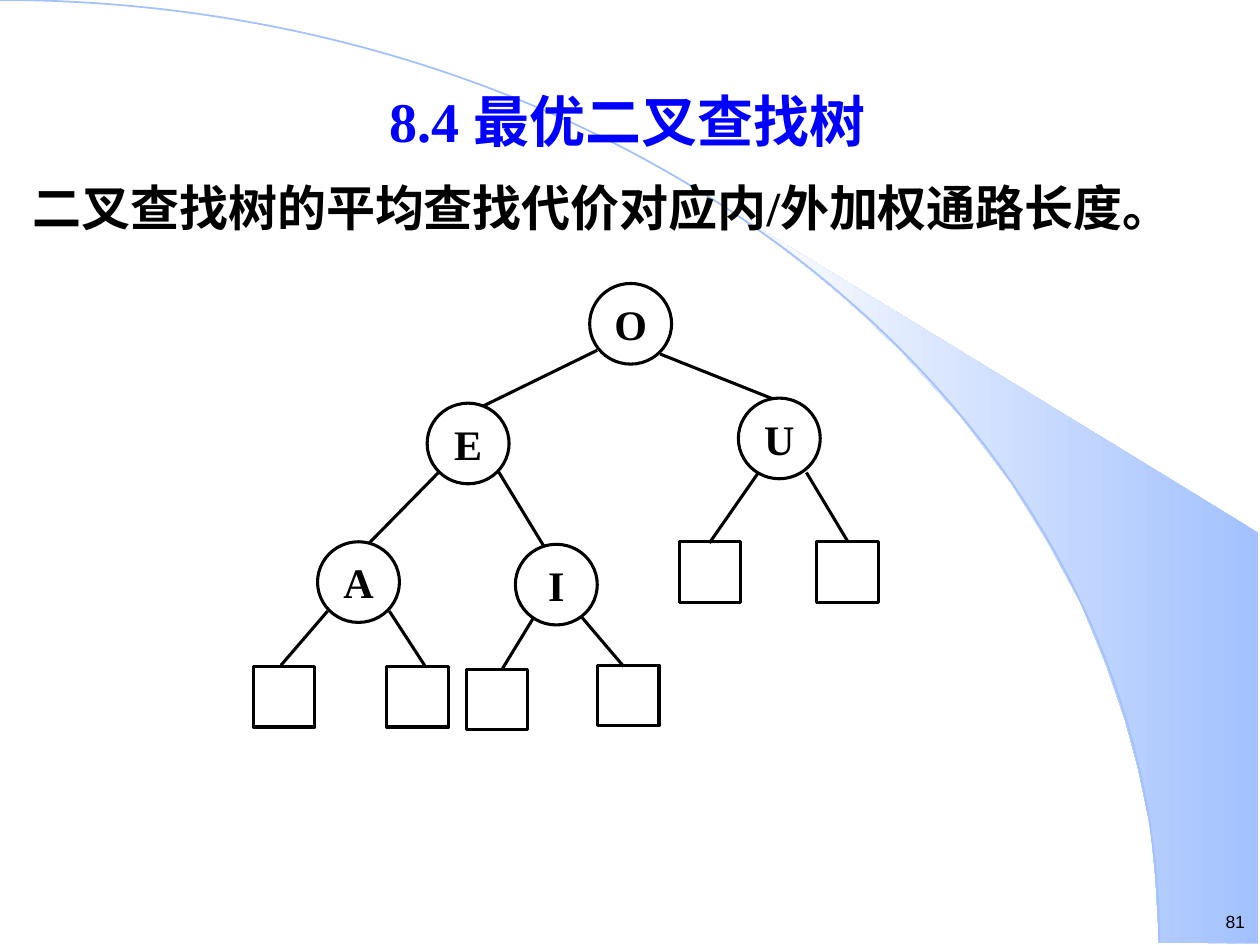
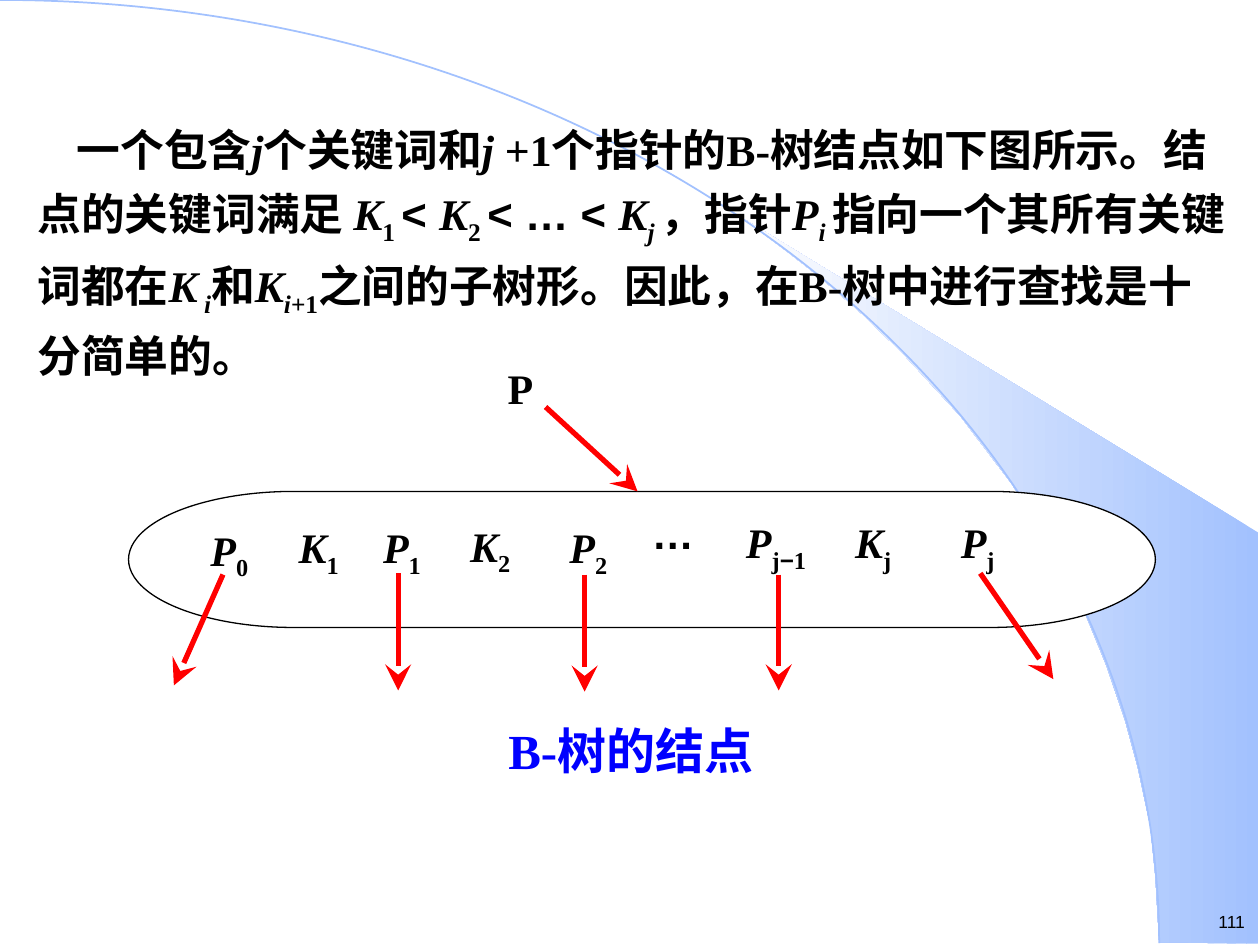
from dataclasses import dataclass

from lxml.etree import SubElement
from pptx import Presentation
from pptx.dml.color import RGBColor
from pptx.enum.shapes import MSO_CONNECTOR, MSO_SHAPE
from pptx.enum.text import MSO_ANCHOR, PP_ALIGN
from pptx.oxml.ns import qn
from pptx.util import Inches, Pt


@dataclass(frozen=True)
class Theme:
    ink: str = "000000"
    paper: str = "FFFFFF"
    heading: str = "0000FF"
    pointer: str = "FF0000"
    band: str = "A2C1FE"
    band_fade: str = "FEFEFE"
    serif: str = "Times New Roman"
    sans: str = "Arial"
    chinese: str = "Noto Sans CJK SC"
    title_size: float = 32
    lead_size: float = 28
    body_size: float = 25
    label_size: float = 24
    number_size: float = 10
    tree_line: float = 1.75
    pointer_line: float = 3


THEME = Theme()

BAND_OUTLINE = [
    (9.2, 7.48), (9.99, 7.49), (9.99, 4.23), (5.89, 1.73), (6.24, 1.99), (6.53, 2.22),
    (6.85, 2.5), (7.16, 2.8), (7.62, 3.3), (8.03, 3.84), (8.32, 4.31), (8.58, 4.79),
    (8.78, 5.28), (8.93, 5.72), (9.03, 6.09), (9.13, 6.56), (9.17, 6.96),
]
ARC_BOX = (-9.2, 0, 18.4, 14.97)

TREE_TITLE = "8.4 最优二叉查找树 "
TREE_LEAD = "二叉查找树的平均查找代价对应内/外加权通路长度。"
KEY_SIZE = (0.65, 0.64)
KEYS = {"O": (4.68, 2.25), "E": (3.39, 3.2), "A": (2.52, 4.3), "U": (5.86, 3.16), "I": (4.09, 4.32)}
LEAF_SIZE = (0.49, 0.48)
LEAVES = [(2.01, 5.29), (3.07, 5.29), (3.7, 5.31), (4.74, 5.28), (5.39, 4.3), (6.48, 4.3)]
EDGES = [
    ((4.74, 2.78), (3.82, 3.23)), ((5.24, 2.81), (6.17, 3.18)),
    ((3.5, 3.73), (2.93, 4.31)), ((3.93, 3.7), (4.35, 4.39)),
    ((6.02, 3.75), (5.63, 4.31)), ((6.4, 3.75), (6.73, 4.3)),
    ((2.6, 4.85), (2.23, 5.28)), ((3.09, 4.85), (3.37, 5.28)),
    ((4.23, 4.91), (3.98, 5.32)), ((4.61, 4.89), (4.95, 5.29)),
]

ITALIC, LOWERED, SANS = "i", "s", "a"
NODE_TEXT = [
    ("一个包含", ""), ("j", "i"), ("个关键词和", ""), ("j", "i"),
    (" +1个指针的B-树结点如下图所示。结点的关键词满足 ", ""),
    ("K", "i"), ("1 ", "s"), ("< ", "a"), ("K", "i"), ("2 ", "s"), ("< … < ", "a"),
    ("K", "i"), ("j ", "is"), ("，指针", ""), ("P", "i"), ("i ", "is"),
    ("指向一个其所有关键词都在", ""), ("K", "i"), (" i", "is"), ("和", ""),
    ("K", "i"), ("i", "is"), ("+1", "s"),
    ("之间的子树形。因此，在B-树中进行查找是十分简单的。", ""),
]
NODE_CAPTION = [("B-", ""), ("树的结点", "")]
NODE_BOX = (1.02, 3.9, 8.15, 1.08)
FIELD_SIZE = (0.8, 0.49)
FIELDS = [
    (1.82, 4.16, [("P", "i"), ("0", "s")]),
    (2.53, 4.14, [("K", "i"), ("1", "s")]),
    (3.19, 4.14, [("P", "i"), ("1", "s")]),
    (3.89, 4.13, [("K", "i"), ("2", "s")]),
    (4.67, 4.14, [("P", "i"), ("2", "s")]),
    (5.34, 4.03, [("…", "a")]),
    (6.16, 4.1, [("P", "i"), ("j", "s"), ("−", "sa"), ("1", "s")]),
    (6.93, 4.1, [("K", "i"), ("j", "s")]),
    (7.76, 4.1, [("P", "i"), ("j", "s")]),
    (4.13, 2.88, [("P", "")]),
]
POINTERS = [
    ((1.77, 4.56), (1.38, 5.44)), ((3.16, 4.55), (3.16, 5.48)),
    ((4.64, 4.56), (4.64, 5.49)), ((6.18, 4.56), (6.18, 5.48)),
    ((7.78, 4.55), (8.36, 5.39)), ((4.33, 3.23), (5.06, 3.9)),
]


def rgb(color):
    return RGBColor.from_string(color)


def add_preset(page, kind, area, fill, line, width):
    shape = page.shapes.add_shape(kind, *map(Inches, area))
    shape.shadow.inherit = False
    if fill:
        shape.fill.solid()
        shape.fill.fore_color.rgb = rgb(fill)
    else:
        shape.fill.background()
    shape.line.color.rgb = rgb(line)
    shape.line.width = Pt(width)
    return shape


def write(para, spans, size, color=THEME.ink, bold=True, align=PP_ALIGN.LEFT):
    para.alignment = align
    for text, style in spans:
        span = para.add_run()
        span.text = text
        font = span.font
        font.size = Pt(size)
        font.bold = bold
        font.italic = ITALIC in style
        font.color.rgb = rgb(color)
        font.name = THEME.sans if SANS in style else THEME.serif
        properties = font._element
        SubElement(properties, qn("a:ea")).set("typeface", THEME.chinese)
        if LOWERED in style:
            properties.set("baseline", "-25000")


def frame_of(shape, margins=(0, 0), anchor=MSO_ANCHOR.TOP):
    frame = shape.text_frame
    frame.margin_left = frame.margin_right = Inches(margins[0])
    frame.margin_top = frame.margin_bottom = Inches(margins[1])
    frame.word_wrap = True
    frame.vertical_anchor = anchor
    return frame


def add_text(page, area, margins=(0, 0)):
    return frame_of(page.shapes.add_textbox(*map(Inches, area)), margins)


def add_line(page, start, end, color, width, arrow=False):
    line = page.shapes.add_connector(MSO_CONNECTOR.STRAIGHT, *map(Inches, (*start, *end)))
    line.line.color.rgb = rgb(color)
    line.line.width = Pt(width)
    if arrow:
        head = SubElement(line.line._get_or_add_ln(), qn("a:tailEnd"))
        for name, value in (("type", "stealth"), ("w", "lg"), ("len", "lg")):
            head.set(name, value)
    SubElement(line._element.spPr, qn("a:effectLst"))


def add_band(page):
    points = [(Inches(x), Inches(y)) for x, y in BAND_OUTLINE]
    builder = page.shapes.build_freeform(*points[0])
    builder.add_line_segments(points[1:])
    band = builder.convert_to_shape()
    band.shadow.inherit = False
    band.line.fill.background()
    band.fill.gradient()
    band.fill.gradient_angle = 180
    stops = zip(band.fill.gradient_stops, (THEME.band, THEME.band_fade), (0, 1))
    for stop, color, position in stops:
        stop.color.rgb = rgb(color)
        stop.position = position


def add_page(deck, number):
    page = deck.slides.add_slide(deck.slide_layouts[6])
    add_band(page)
    add_preset(page, MSO_SHAPE.ARC, ARC_BOX, None, THEME.band, 1)
    frame = add_text(page, (9.41, 7.18, 0.49, 0.27), (0.02, 0.05))
    write(frame.paragraphs[0], [(number, SANS)], THEME.number_size, bold=False, align=PP_ALIGN.RIGHT)
    return page


def add_tree_page(deck):
    page = add_page(deck, "81")
    frame = add_text(page, (0.16, 0.53, 9.75, 1.49), (0.1, 0.05))
    title, lead = frame.paragraphs[0], frame.add_paragraph()
    write(title, [(TREE_TITLE, "")], THEME.title_size, THEME.heading, align=PP_ALIGN.CENTER)
    write(lead, [(TREE_LEAD, "")], THEME.lead_size)
    title.line_spacing = lead.line_spacing = 1.2
    lead.space_before = Pt(7)
    outline = (THEME.paper, THEME.ink, THEME.tree_line)
    for place in LEAVES:
        add_preset(page, MSO_SHAPE.RECTANGLE, (*place, *LEAF_SIZE), *outline)
    for start, end in EDGES:
        add_line(page, start, end, THEME.ink, THEME.tree_line)
    for key, place in KEYS.items():
        circle = add_preset(page, MSO_SHAPE.OVAL, (*place, *KEY_SIZE), *outline)
        frame = frame_of(circle, (0.02, 0.01), MSO_ANCHOR.MIDDLE)
        write(frame.paragraphs[0], [(key, "")], THEME.label_size, align=PP_ALIGN.CENTER)


def add_node_page(deck):
    page = add_page(deck, "111")
    para = add_text(page, (0.2, 0.84, 9.65, 2.24), (0.1, 0.05)).paragraphs[0]
    para._p.get_or_add_pPr().set("indent", str(Inches(0.31)))
    write(para, NODE_TEXT, THEME.body_size)
    para.line_spacing = 1.2
    add_preset(page, MSO_SHAPE.FLOWCHART_TERMINATOR, NODE_BOX, THEME.paper, THEME.ink, 0.75)
    for center, top, spans in FIELDS:
        frame = add_text(page, (center - FIELD_SIZE[0] / 2, top, *FIELD_SIZE))
        write(frame.paragraphs[0], spans, THEME.label_size, align=PP_ALIGN.CENTER)
    frame = add_text(page, (3.39, 5.72, 3.23, 0.47))
    write(frame.paragraphs[0], NODE_CAPTION, THEME.lead_size, THEME.heading, align=PP_ALIGN.CENTER)
    for start, end in POINTERS:
        add_line(page, start, end, THEME.pointer, THEME.pointer_line, arrow=True)


def main():
    deck = Presentation()
    deck.slide_width, deck.slide_height = Inches(10), Inches(7.5)
    add_tree_page(deck)
    add_node_page(deck)
    deck.save("out.pptx")


if __name__ == "__main__":
    main()
